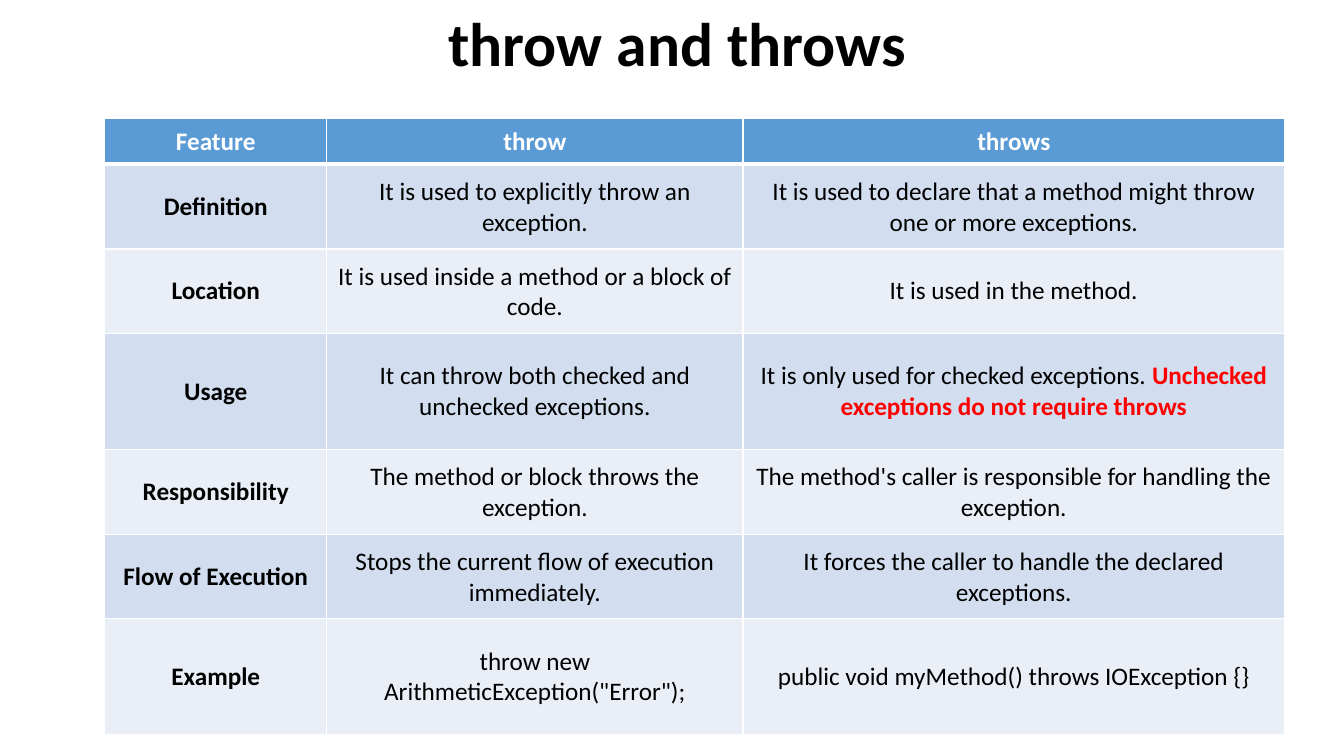
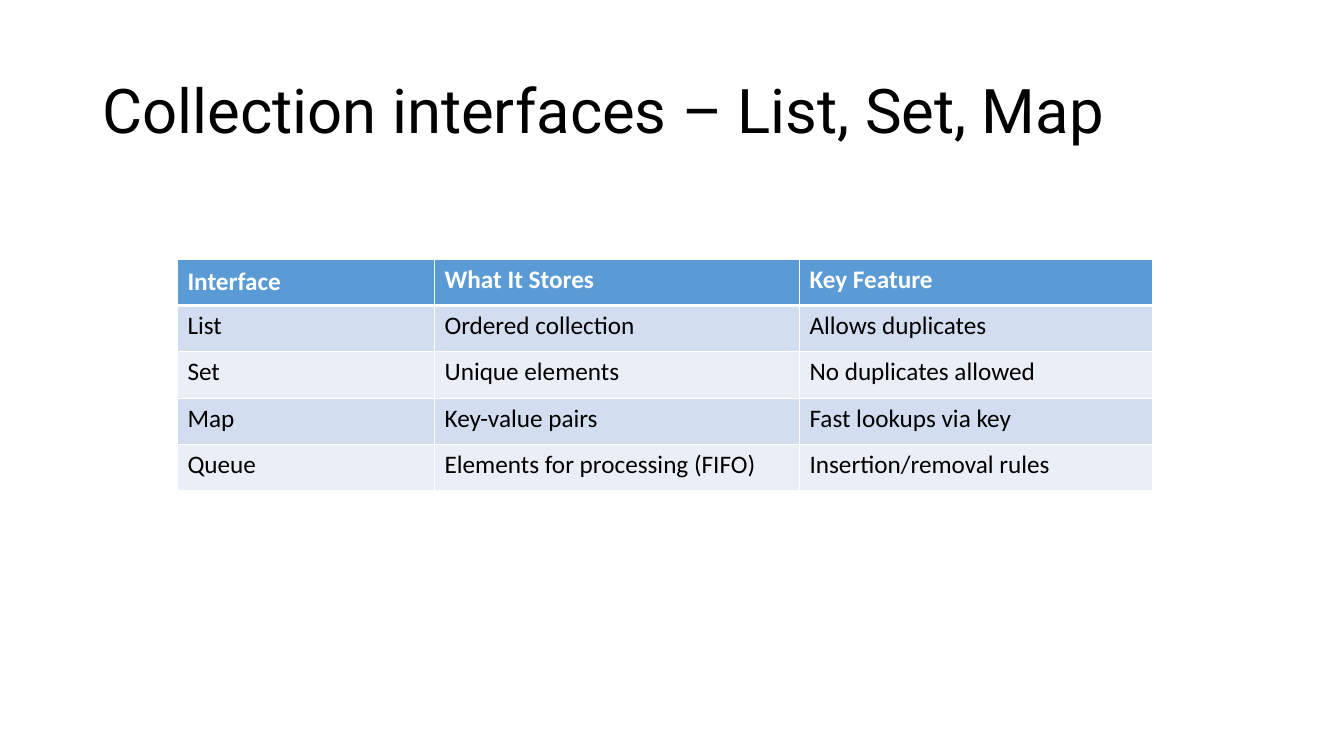
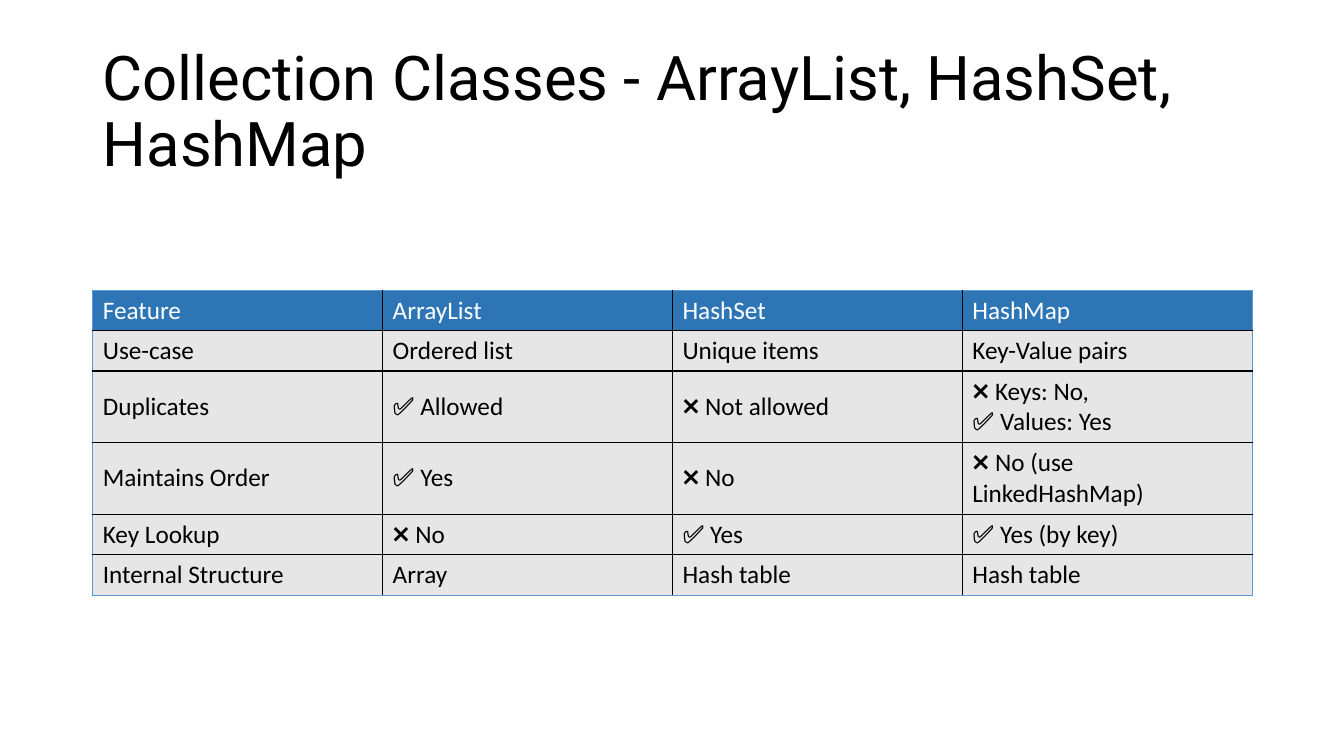
from dataclasses import dataclass, field

from lxml.etree import SubElement as Sub
from pptx import Presentation
from pptx.dml.color import RGBColor
from pptx.enum.text import MSO_ANCHOR as Anchor, PP_ALIGN as Align
from pptx.oxml.ns import qn
from pptx.util import Inches, Pt

BLACK, WHITE, RED = "000000", "FFFFFF", "FF0000"
BLUE, NAVY, GREY = "5B9BD5", "2E75B6", "E7E6E6"
BANDS = ("D2DEEF", "EAEFF7")
BODY, HEAD = "Calibri", "Roboto"
PAD = (0.1, 0.05)


@dataclass
class Title:
    text: str
    left: float = 0.92
    top: float = 0.4
    right: float = 0.1
    font: str = HEAD
    bold: bool = False
    anchor: Anchor = Anchor.MIDDLE
    align: Align = Align.LEFT


@dataclass
class Edge:
    color: str
    width: float


@dataclass
class Grid:
    left: float
    top: float
    cols: list[float]
    rows: list[float]
    cells: list[tuple[str, ...]]
    inner: Edge
    outer: Edge
    rule: Edge  # line under the header row
    head: str = BLUE
    bands: tuple[str, ...] = BANDS
    align: Align = Align.LEFT
    anchor: Anchor = Anchor.MIDDLE
    bold_head: bool = True
    bold_side: bool = False
    hot: str = ""  # phrase set in bold red
    pads: dict[tuple[bool, bool], tuple[float, float]] = field(default_factory=dict)


def rgb(code: str) -> RGBColor:
    return RGBColor.from_string(code)


def style(font, name: str, size: float, color: str, bold: bool) -> None:
    for key, value in {"name": name, "size": Pt(size), "bold": bold}.items():
        setattr(font, key, value)
    font.color.rgb = rgb(color)


def inset(target, left: float, top: float, right: float, base: float) -> None:
    sides = {"left": left, "top": top, "right": right, "bottom": base}
    for side, size in sides.items():
        setattr(target, f"margin_{side}", Inches(size))


def add_title(slide, title: Title) -> None:
    box = slide.shapes.add_textbox(
        Inches(title.left), Inches(title.top), Inches(11.5), Inches(1.45))
    frame = box.text_frame
    frame.word_wrap = True
    frame.vertical_anchor = title.anchor
    inset(frame, 0.1, 0.05, title.right, 0.05)
    para = frame.paragraphs[0]
    para.alignment = title.align
    para.line_spacing = 0.9
    run = para.add_run()
    run.text = title.text
    style(run.font, title.font, 44, BLACK, title.bold)


def add_edges(cell, edges: dict[str, Edge]) -> None:
    """Draw the cell borders; must run before the fill is set."""
    props = cell._tc.get_or_add_tcPr()
    for side, edge in edges.items():
        line = Sub(props, qn(f"a:ln{side}"), w=str(Pt(edge.width)))
        fill = Sub(line, qn("a:solidFill"))
        Sub(fill, qn("a:srgbClr"), val=edge.color)


def fill_cell(cell, grid: Grid, row: int, col: int) -> None:
    head, side = row == 0, col == 0
    last_row, last_col = len(grid.rows) - 1, len(grid.cols) - 1
    add_edges(cell, {
        "L": grid.outer if side else grid.inner,
        "R": grid.outer if col == last_col else grid.inner,
        "T": grid.outer if head else grid.rule if row == 1 else grid.inner,
        "B": grid.rule if head else grid.outer if row == last_row else grid.inner,
    })
    cell.fill.solid()
    shade = grid.head if head else grid.bands[(row - 1) % len(grid.bands)]
    cell.fill.fore_color.rgb = rgb(shade)
    wide, high = grid.pads.get((head, side), PAD)
    inset(cell, wide, high, wide, high)
    cell.vertical_anchor = Anchor.MIDDLE if head and side else grid.anchor

    color = WHITE if head else BLACK
    bold = grid.bold_head if head else grid.bold_side and side
    frame = cell.text_frame
    for i, text in enumerate(grid.cells[row][col].split("\n")):
        para = frame.add_paragraph() if i else frame.paragraphs[0]
        para.alignment = grid.align
        parts = text.partition(grid.hot) if grid.hot else (text,)
        for part in filter(None, parts):
            run = para.add_run()
            run.text = part
            hot = part == grid.hot
            style(run.font, BODY, 18, RED if hot else color, hot or bold)


def add_grid(slide, grid: Grid) -> None:
    table = slide.shapes.add_table(
        len(grid.rows), len(grid.cols), Inches(grid.left), Inches(grid.top),
        Inches(sum(grid.cols)), Inches(sum(grid.rows))).table
    table.first_row = table.horz_banding = False
    for col, width in zip(table.columns, grid.cols):
        col.width = Inches(width)
    for row, height in zip(table.rows, grid.rows):
        row.height = Inches(height)
    for r in range(len(grid.rows)):
        for c in range(len(grid.cols)):
            fill_cell(table.cell(r, c), grid, r, c)


THIN, THICK = Edge(WHITE, 1), Edge(WHITE, 3)
INK, FRAME = Edge(BLACK, 1), Edge(BLUE, 0.5)

PAGES = [
    (
        Title("throw and throws", 1.04, 0.08, 0.24, BODY, True,
              Anchor.TOP, Align.CENTER),
        Grid(
            1.04, 1.17, [2.2, 4.13, 5.37],
            [0.38, 0.83, 0.83, 1.15, 0.83, 0.83, 1.15],
            [
                ("Feature", "throw", "throws"),
                ("Definition", "It is used to explicitly throw an exception.",
                 "It is used to declare that a method might throw one or more exceptions."),
                ("Location", "It is used inside a method or a block of code.",
                 "It is used in the method."),
                ("Usage", "It can throw both checked and unchecked exceptions.",
                 "It is only used for checked exceptions. "
                 "Unchecked exceptions do not require throws"),
                ("Responsibility", "The method or block throws the exception.",
                 "The method's caller is responsible for handling the exception."),
                ("Flow of Execution", "Stops the current flow of execution immediately.",
                 "It forces the caller to handle the declared exceptions."),
                ("Example", 'throw new ArithmeticException("Error");',
                 "public void myMethod() throws IOException {}"),
            ],
            THIN, THIN, THICK, align=Align.CENTER, bold_side=True,
            hot="Unchecked exceptions do not require throws",
            pads={(True, True): (0.04, 0.08), (True, False): (0.08, 0.08),
                  (False, True): (0.04, 0.07), (False, False): (0.08, 0.12)},
        ),
    ),
    (
        Title("Collection interfaces – List, Set, Map"),
        Grid(
            1.76, 2.57, [2.55, 3.62, 3.5], [0.46] * 5,
            [
                ("Interface", "What It Stores", "Key Feature"),
                ("List", "Ordered collection", "Allows duplicates"),
                ("Set", "Unique elements", "No duplicates allowed"),
                ("Map", "Key-value pairs", "Fast lookups via key"),
                ("Queue", "Elements for processing (FIFO)", "Insertion/removal rules"),
            ],
            THIN, THIN, THICK, anchor=Anchor.TOP,
        ),
    ),
    (
        Title("Collection Classes - ArrayList, HashSet, HashMap"),
        Grid(
            0.92, 2.88, [11.5 / 4] * 4, [0.4, 0.4, 0.71, 0.71, 0.4, 0.4],
            [
                ("Feature", "ArrayList", "HashSet", "HashMap"),
                ("Use-case", "Ordered list", "Unique items", "Key-Value pairs"),
                ("Duplicates", "✅ Allowed", "❌ Not allowed",
                 "❌ Keys: No,\n✅ Values: Yes"),
                ("Maintains Order", "✅ Yes", "❌ No", "❌ No (use LinkedHashMap)"),
                ("Key Lookup", "❌ No", "✅ Yes", "✅ Yes (by key)"),
                ("Internal Structure", "Array", "Hash table", "Hash table"),
            ],
            INK, FRAME, INK, head=NAVY, bands=(GREY,), bold_head=False,
        ),
    ),
]


def main() -> None:
    deck = Presentation()
    deck.slide_width, deck.slide_height = Inches(13.33), Inches(7.5)
    for title, grid in PAGES:
        slide = deck.slides.add_slide(deck.slide_layouts[6])
        add_title(slide, title)
        add_grid(slide, grid)
    deck.save("out.pptx")


if __name__ == "__main__":
    main()
